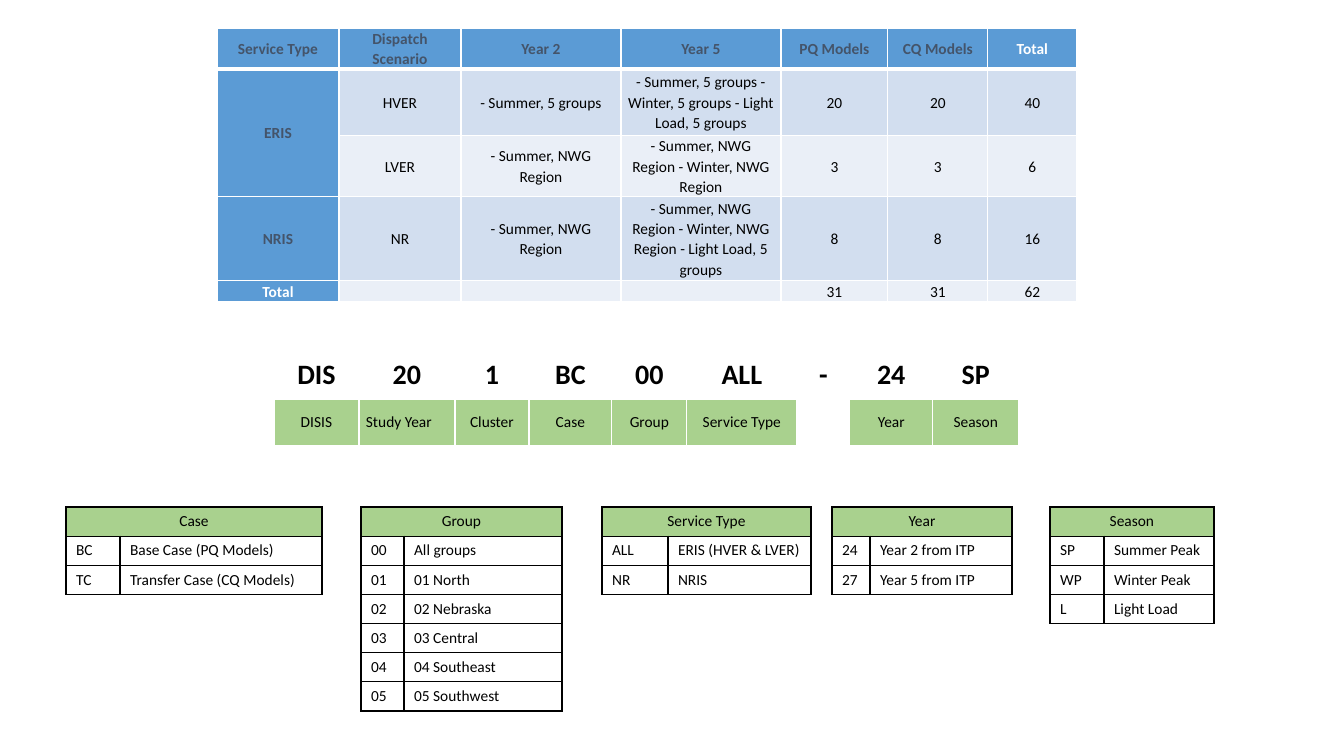
import pptx
import pptx.dml.color
import pptx.enum.text
import pptx.oxml
import pptx.oxml.ns
import pptx.util
from dataclasses import dataclass

EMU_PER_PX = 914400 / 100.8
ALIGN = pptx.enum.text.PP_ALIGN
ANCHOR = pptx.enum.text.MSO_ANCHOR


@dataclass(frozen=True)
class Theme:
    font: str = "Calibri"
    body_size: int = 11
    code_size: int = 20
    white: str = "FFFFFF"
    black: str = "000000"
    heading: str = "44546A"
    blue: str = "5B9BD5"
    band_dark: str = "D2DEEF"
    band_light: str = "EAEFF7"
    green: str = "A9D18E"
    thin_line: int = 1
    thick_line: int = 3
    line_spacing: float = 1.07


THEME = Theme()

MODEL_COLUMNS = (122, 122, 160, 160, 107, 100, 89)
MODEL_HEIGHTS = (40, 67, 50, 84, 21)
MODEL_ROWS = (
    ("Service Type", "Dispatch Scenario", "Year 2", "Year 5", "PQ Models", "CQ Models", "Total"),
    ("ERIS", "HVER", "- Summer, 5 groups",
     "- Summer, 5 groups - Winter, 5 groups - Light Load, 5 groups", "20", "20", "40"),
    ("", "LVER", "- Summer, NWG Region",
     "- Summer, NWG Region - Winter, NWG Region", "3", "3", "6"),
    ("NRIS", "NR", "- Summer, NWG Region",
     "- Summer, NWG Region - Winter, NWG Region - Light Load, 5 groups", "8", "8", "16"),
    ("Total", "", "", "", "31", "31", "62"),
)

NAME_COLUMNS = (85, 96, 74, 83, 75, 110, 53, 83, 86)
NAME_HEIGHTS = (48, 48)
NAME_ROWS = (
    ("DIS", "20", "1", "BC", "00", "ALL", "-", "24", "SP"),
    ("DISIS", "Study Year", "Cluster", "Case", "Group", "Service Type", "", "Year", "Season"),
)

LOOKUP_TOP = 507
LOOKUP_ROW_HEIGHT = 29
# Each lookup: left edge, column widths, title, entries
LOOKUPS = (
    (66, (54, 202), "Case",
     (("BC", "Base Case (PQ Models)"), ("TC", "Transfer Case (CQ Models)"))),
    (361, (43, 158), "Group",
     (("00", "All groups"), ("01", "01 North"), ("02", "02 Nebraska"), ("03", "03 Central"),
      ("04", "04 Southeast"), ("05", "05 Southwest"))),
    (832, (38, 142), "Year", (("24", "Year 2 from ITP"), ("27", "Year 5 from ITP"))),
    (1050, (54, 110), "Season",
     (("SP", "Summer Peak"), ("WP", "Winter Peak"), ("L", "Light Load"))),
    (602, (66, 143), "Service Type", (("ALL", "ERIS (HVER & LVER)"), ("NR", "NRIS"))),
)


def px(length):
    return pptx.util.Emu(round(length * EMU_PER_PX))


def rgb(color):
    return pptx.dml.color.RGBColor.from_string(color)


def add_grid(slide, left, top, widths, heights):
    """Add an unbanded table with the given column widths and row heights."""
    frame = slide.shapes.add_table(len(heights), len(widths), px(left), px(top),
                                   px(sum(widths)), px(sum(heights)))
    table = frame.table
    table.first_row = table.horz_banding = False
    for column, width in zip(table.columns, widths):
        column.width = px(width)
    for row, height in zip(table.rows, heights):
        row.height = px(height)
    return table


def set_borders(cell, color, bottom=THEME.thin_line, top=THEME.thin_line):
    properties = cell._tc.get_or_add_tcPr()
    sides = (("L", THEME.thin_line), ("R", THEME.thin_line), ("T", top), ("B", bottom))
    for side, points in sides:
        properties.append(pptx.oxml.parse_xml(
            f'<a:ln{side} {pptx.oxml.ns.nsdecls("a")} w="{pptx.util.Pt(points)}">'
            f'<a:solidFill><a:srgbClr val="{color}"/></a:solidFill></a:ln{side}>'))


def set_fill(cell, color):
    if color:
        cell.fill.solid()
        cell.fill.fore_color.rgb = rgb(color)
    else:
        cell.fill.background()


def set_text(cell, text, size=THEME.body_size, color=THEME.black, bold=False, align=ALIGN.LEFT):
    paragraph = cell.text_frame.paragraphs[0]
    paragraph.text = text
    paragraph.alignment = align
    for run in paragraph.runs:
        run.font.name = THEME.font
        run.font.size = pptx.util.Pt(size)
        run.font.bold = bold
        run.font.color.rgb = rgb(color)
    if not text:
        # An empty cell keeps the small type size so that its row stays low
        paragraph._p.append(pptx.oxml.parse_xml(
            f'<a:endParaRPr {pptx.oxml.ns.nsdecls("a")} sz="{size * 100}"/>'))


def set_compact(cell):
    cell.margin_left = cell.margin_right = px(7)
    cell.margin_top = cell.margin_bottom = 0
    cell.vertical_anchor = ANCHOR.MIDDLE
    cell.text_frame.paragraphs[0].line_spacing = THEME.line_spacing


def add_model_table(slide, left, top):
    table = add_grid(slide, left, top, MODEL_COLUMNS, MODEL_HEIGHTS)
    for row, texts in enumerate(MODEL_ROWS):
        for column, text in enumerate(texts):
            cell = table.cell(row, column)
            is_label = row == 0 or column == 0
            if is_label:
                fill = THEME.blue
                color = THEME.white if text == "Total" else THEME.heading
            else:
                fill = THEME.band_dark if row % 2 else THEME.band_light
                color = THEME.black
            set_borders(cell, THEME.white,
                        bottom=THEME.thick_line if row == 0 else THEME.thin_line,
                        top=THEME.thick_line if row == 1 else THEME.thin_line)
            set_fill(cell, fill)
            set_text(cell, text, color=color, bold=is_label, align=ALIGN.CENTER)
            set_compact(cell)
    # ERIS covers both dispatch scenarios
    table.cell(1, 0).merge(table.cell(2, 0))


def add_name_table(slide, left, top):
    table = add_grid(slide, left, top, NAME_COLUMNS, NAME_HEIGHTS)
    for row, texts in enumerate(NAME_ROWS):
        is_code = row == 0
        for column, text in enumerate(texts):
            cell = table.cell(row, column)
            set_borders(cell, THEME.white, bottom=THEME.thick_line if is_code else THEME.thin_line)
            set_fill(cell, THEME.green if text and not is_code else None)
            set_text(cell, text, size=THEME.code_size if is_code else THEME.body_size,
                     bold=is_code,
                     align=ALIGN.LEFT if text == "Study Year" else ALIGN.CENTER)
            set_compact(cell)


def add_lookup_table(slide, left, top, widths, title, entries):
    rows = ((title, ""), *entries)
    table = add_grid(slide, left, top, widths, [LOOKUP_ROW_HEIGHT] * len(rows))
    for row, texts in enumerate(rows):
        for column, text in enumerate(texts):
            cell = table.cell(row, column)
            set_borders(cell, THEME.black)
            set_fill(cell, None if row else THEME.green)
            set_text(cell, text, align=ALIGN.LEFT if row else ALIGN.CENTER)
    table.cell(0, 0).merge(table.cell(0, 1))


def main():
    presentation = pptx.Presentation()
    presentation.slide_width, presentation.slide_height = px(1344), px(756)
    slide = presentation.slides.add_slide(presentation.slide_layouts[6])

    # Parts of a model name
    add_name_table(slide, 274, 350)
    # Model counts by service type
    add_model_table(slide, 217, 28)
    # Meaning of each code
    for left, widths, title, entries in LOOKUPS:
        add_lookup_table(slide, left, LOOKUP_TOP, widths, title, entries)

    presentation.save("out.pptx")


if __name__ == "__main__":
    main()
